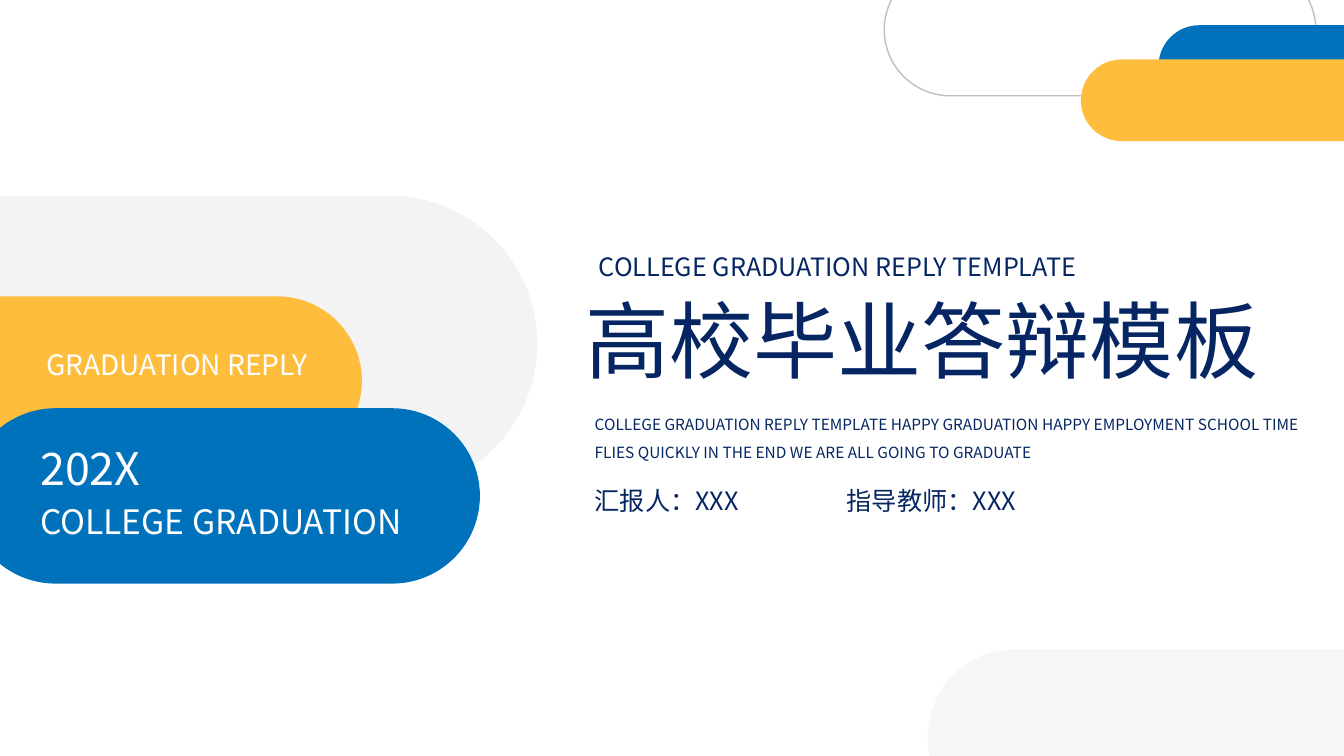
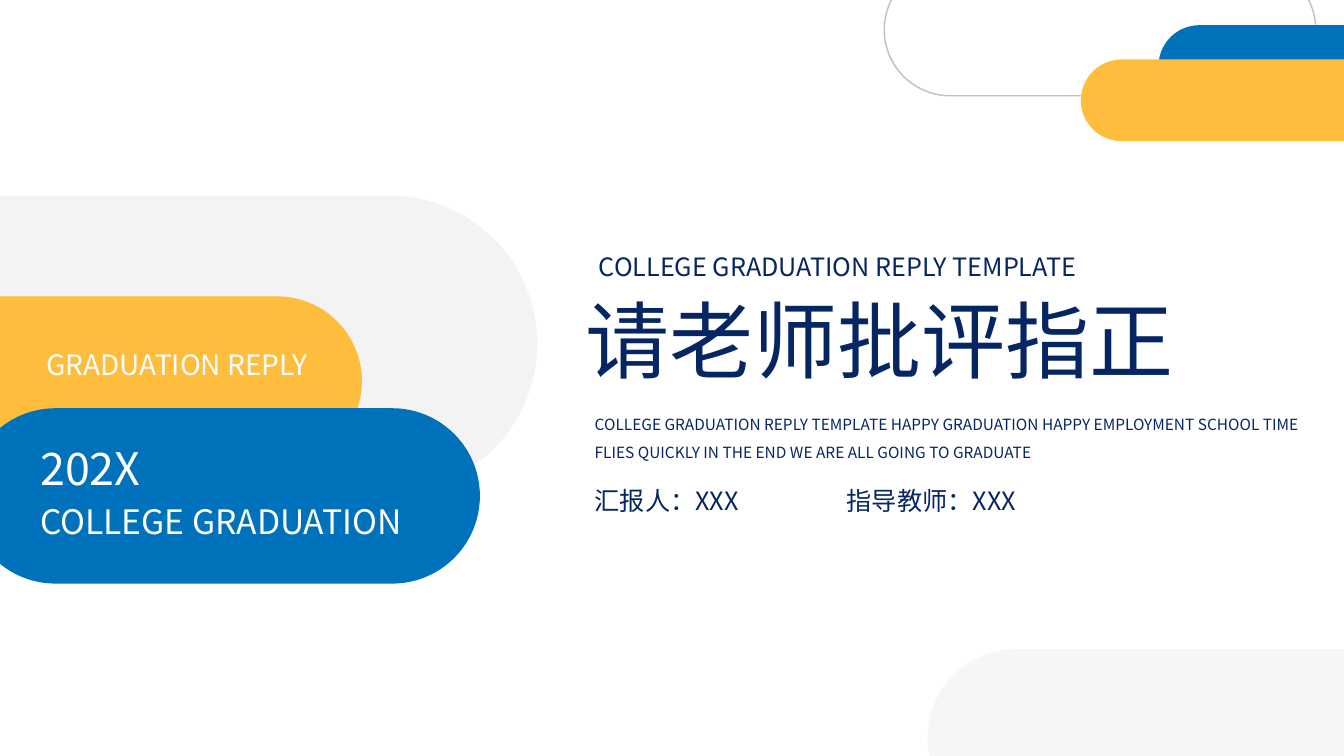
from dataclasses import dataclass

from lxml import etree
from pptx import Presentation
from pptx.dml.color import RGBColor
from pptx.enum import shapes as shape_enum, text as text_enum
from pptx.oxml import ns
from pptx.util import Inches, Pt

FONT = "Noto Sans CJK SC"
NAVY = RGBColor(0x05, 0x26, 0x63)
BLUE = RGBColor(0x00, 0x72, 0xBB)
YELLOW = RGBColor(0xFE, 0xBD, 0x3D)
PALE_GRAY = RGBColor(0xF3, 0xF3, 0xF3)
OUTLINE_GRAY = RGBColor(0xBF, 0xBF, 0xBF)
WHITE = RGBColor(0xFF, 0xFF, 0xFF)

LEFT = text_enum.PP_ALIGN.LEFT
CENTER = text_enum.PP_ALIGN.CENTER
JUSTIFY = text_enum.PP_ALIGN.JUSTIFY


@dataclass(frozen=True)
class Box:
    left: float
    top: float
    width: float
    height: float

    def lengths(self) -> list:
        return [Inches(n) for n in (self.left, self.top, self.width, self.height)]


@dataclass(frozen=True)
class Pill:
    box: Box
    fill: RGBColor | None = None
    line: RGBColor | None = None
    opacity: int = 100


@dataclass(frozen=True)
class Label:
    box: Box
    words: str
    size: int
    color: RGBColor = NAVY
    align: text_enum.PP_ALIGN = LEFT
    line_spacing: float = 1.0


BACKDROP = (
    Pill(Box(8.77, -0.36, 4.28, 1.31), line=OUTLINE_GRAY),
    Pill(Box(-2.13, 1.94, 7.46, 2.94), PALE_GRAY),
    Pill(Box(9.2, 6.44, 5.27, 1.76), PALE_GRAY, opacity=74),
    Pill(Box(11.49, 0.25, 4.15, 0.81), BLUE),
    Pill(Box(10.72, 0.59, 4.15, 0.81), YELLOW),
)
DETAILS = (
    Label(Box(5.84, 2.44, 6.79, 0.4), "COLLEGE GRADUATION REPLY TEMPLATE", 18, align=JUSTIFY),
    Label(
        Box(5.8, 3.98, 7.25, 0.63),
        "COLLEGE GRADUATION REPLY TEMPLATE HAPPY GRADUATION HAPPY EMPLOYMENT "
        "SCHOOL TIME FLIES QUICKLY IN THE END WE ARE ALL GOING TO GRADUATE",
        11,
        line_spacing=1.5,
    ),
    Label(Box(5.8, 4.77, 1.87, 0.4), "汇报人：XXX", 18, align=JUSTIFY),
    Label(Box(8.3, 4.77, 2.05, 0.4), "指导教师：XXX", 18, align=JUSTIFY),
)
REPLY_BADGE = (
    Pill(Box(-1.11, 2.94, 4.7, 1.68), YELLOW),
    Label(Box(0.16, 3.4, 3.19, 0.44), "GRADUATION REPLY", 20, WHITE, CENTER),
)
YEAR_BADGE = (
    Pill(Box(-0.32, 4.05, 5.08, 1.74), BLUE),
    Label(Box(0.3, 4.32, 1.42, 0.64), "202X", 32, WHITE, JUSTIFY),
    Label(Box(0.3, 4.92, 4.16, 0.5), "COLLEGE GRADUATION", 24, WHITE),
)
TITLE_BOX = Box(5.71, 2.81, 7.46, 1.11)
TITLES = ("高校毕业答辩模板", "请老师批评指正")


def draw_pill(shapes, pill: Pill) -> None:
    shape = shapes.add_shape(shape_enum.MSO_SHAPE.ROUNDED_RECTANGLE, *pill.box.lengths())
    shape.adjustments[0] = 0.5
    shape.shadow.inherit = False
    if pill.fill is None:
        shape.fill.background()
    else:
        shape.fill.solid()
        shape.fill.fore_color.rgb = pill.fill
    if pill.line is None:
        shape.line.fill.background()
    else:
        shape.line.color.rgb = pill.line
        shape.line.width = Pt(1)
    if pill.opacity < 100:
        color = shape.fill._xPr.find(f".//{ns.qn('a:srgbClr')}")
        etree.SubElement(color, ns.qn("a:alpha"), val=str(pill.opacity * 1000))


def write_label(frame, label: Label) -> None:
    frame.word_wrap = True
    frame.auto_size = text_enum.MSO_AUTO_SIZE.SHAPE_TO_FIT_TEXT
    frame.vertical_anchor = text_enum.MSO_ANCHOR.TOP
    paragraph = frame.paragraphs[0]
    paragraph.alignment = label.align
    paragraph.line_spacing = label.line_spacing
    run = paragraph.add_run()
    run.text = label.words
    run.font.size = Pt(label.size)
    run.font.color.rgb = label.color
    run.font.name = FONT
    # The public font name covers Latin letters only.
    etree.SubElement(run.font._element, ns.qn("a:ea"), typeface=FONT)


def draw_parts(shapes, parts: tuple[Pill | Label, ...]) -> None:
    for part in parts:
        if isinstance(part, Pill):
            draw_pill(shapes, part)
        else:
            write_label(shapes.add_textbox(*part.box.lengths()).text_frame, part)


def add_cover(deck, title_words: str) -> None:
    slide = deck.slides.add_slide(deck.slide_layouts.get_by_name("Title Only"))
    title = slide.shapes.title
    title.left, title.top, title.width, title.height = TITLE_BOX.lengths()
    write_label(title.text_frame, Label(TITLE_BOX, title_words, 60))
    draw_parts(slide.shapes, BACKDROP + DETAILS)
    for badge in (REPLY_BADGE, YEAR_BADGE):
        draw_parts(slide.shapes.add_group_shape().shapes, badge)


def main() -> None:
    deck = Presentation()
    deck.slide_width, deck.slide_height = Inches(13.33), Inches(7.5)
    for title_words in TITLES:
        add_cover(deck, title_words)
    deck.save("out.pptx")


if __name__ == "__main__":
    main()
